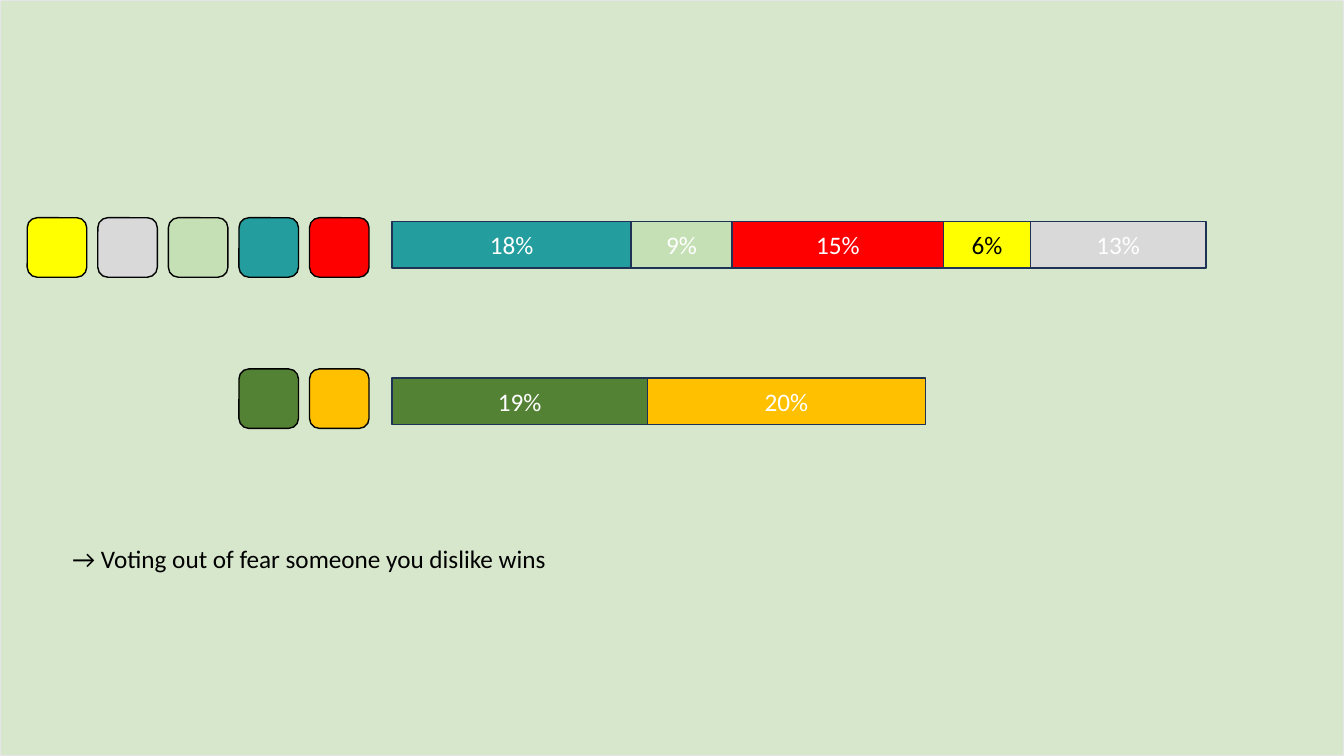
from lxml import etree
from pptx import Presentation
from pptx import util as u
from pptx.dml.color import RGBColor
from pptx.enum import shapes, text
from pptx.oxml.ns import qn

HUES = {
    "back": "F2F2F2", "mint": "C5E0B4", "edge": "E7E6E6", "navy": "1E3256",
    "teal": "239D9E", "red": "FF0000", "yellow": "FFFF00", "gray": "D9D9D9",
    "green": "548235", "gold": "FFC000", "white": "FFFFFF", "black": "000000",
}
ROWS = [
    {
        "tiles": ["yellow", "gray", "mint", "teal", "red"], "tile_top": 2.16,
        "bars": [("18%", "teal", 2.37), ("9%", "mint", 1.0), ("15%", "red", 2.1),
                 ("6%", "yellow", 0.86), ("13%", "gray", 1.74)],
        "bar_top": 2.2,
    },
    {
        "tiles": ["green", "gold"], "tile_top": 3.66,
        "bars": [("19%", "green", 2.53), ("20%", "gold", 2.76)],
        "bar_top": 3.75,
    },
]
CLAIM = "→ Voting out of fear someone you dislike wins"
WIDE, HIGH = 13.33, 7.5
TILE, STEP, LAST = 0.59, 0.7, 3.07
BAR_LEFT, BAR_HIGH = 3.89, 0.46


def hue(name):
    return RGBColor.from_string(HUES[name])


def box(kind, left, top, wide, high, fill, line):
    shape = slide.shapes.add_shape(kind, *map(u.Inches, (left, top, wide, high)))
    shape.shadow.inherit = False
    shape.fill.solid()
    shape.fill.fore_color.rgb = hue(fill)
    shape.line.color.rgb = hue(line)
    shape.line.width = u.Pt(1)
    return shape


def write(shape, words, color, align):
    frame = shape.text_frame
    frame.text = words
    part = frame.paragraphs[0]
    part.alignment = align
    font = part.runs[0].font
    font.name, font.size = "Calibri", u.Pt(18)
    font.color.rgb = hue(color)
    return frame


deck = Presentation()
deck.slide_width, deck.slide_height = u.Inches(WIDE), u.Inches(HIGH)
slide = deck.slides.add_slide(deck.slide_layouts[6])
slide.background.fill.solid()
slide.background.fill.fore_color.rgb = hue("back")

RECT = shapes.MSO_SHAPE.RECTANGLE
ROUND = shapes.MSO_SHAPE.ROUNDED_RECTANGLE

panel = box(RECT, 0, 0, WIDE, HIGH, "mint", "edge")
tint = panel.fill._xPr.find(qn("a:solidFill"))[0]
etree.SubElement(tint, qn("a:alpha"), val="60000")

for row in ROWS:
    left = BAR_LEFT
    for label, color, wide in row["bars"]:
        bar = box(RECT, left, row["bar_top"], wide, BAR_HIGH, color, "navy")
        ink = "black" if color == "yellow" else "white"
        frame = write(bar, label, ink, text.PP_ALIGN.CENTER)
        frame.vertical_anchor = text.MSO_ANCHOR.MIDDLE
        left += wide
    for back, color in enumerate(reversed(row["tiles"])):
        box(ROUND, LAST - back * STEP, row["tile_top"], TILE, TILE, color, "black")

note = slide.shapes.add_textbox(*map(u.Inches, (0.62, 5.34, 4.98, 0.4)))
frame = write(note, CLAIM, "black", text.PP_ALIGN.LEFT)
frame.word_wrap = False
frame.auto_size = text.MSO_AUTO_SIZE.SHAPE_TO_FIT_TEXT

deck.save("out.pptx")
